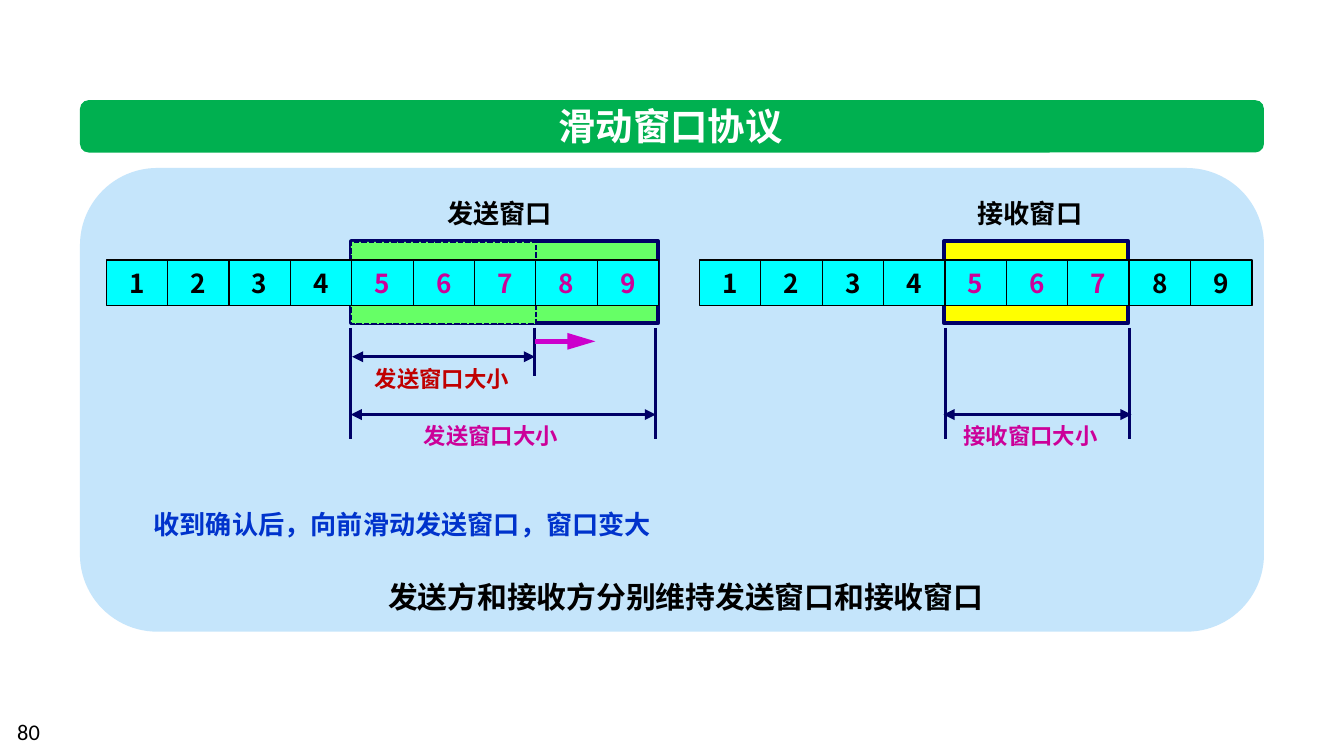
"""Build the sliding window protocol slide."""
from lxml.etree import SubElement
from pptx import Presentation
from pptx.dml.color import RGBColor
from pptx.enum.dml import MSO_LINE
from pptx.enum.shapes import MSO_CONNECTOR, MSO_SHAPE
from pptx.enum.text import MSO_ANCHOR, MSO_AUTO_SIZE, PP_ALIGN
from pptx.oxml.ns import qn
from pptx.util import Pt

PX = 4572
CJK_FONT = "Noto Sans CJK SC"
BLACK, WHITE, NAVY, MAGENTA = "000000", "FFFFFF", "000066", "CC0099"
color = RGBColor.from_string


def write(shape, text, size, hex_color, align=PP_ALIGN.LEFT, anchor=MSO_ANCHOR.TOP,
          font_name=CJK_FONT, bold=True, wrap=False):
    frame = shape.text_frame
    frame.text = text
    frame.word_wrap = wrap
    frame.auto_size = MSO_AUTO_SIZE.NONE
    frame.vertical_anchor = anchor
    paragraph = frame.paragraphs[0]
    paragraph.alignment = align
    font = paragraph.font
    font.size, font.bold, font.name = Pt(size), bold, font_name
    font.color.rgb = color(hex_color)
    for properties in shape.element.iter(qn("a:defRPr")):
        SubElement(properties, qn("a:ea"), typeface=font_name)


def add_line(shapes, x1, y1, x2, y2, hex_color=NAVY, width=1.5, arrows=(), length="med"):
    line = shapes.add_connector(MSO_CONNECTOR.STRAIGHT, x1 * PX, y1 * PX, x2 * PX, y2 * PX)
    line.line.color.rgb = color(hex_color)
    line.line.width = Pt(width)
    properties = line.element.spPr
    for arrow in arrows:
        SubElement(properties.find(qn("a:ln")), qn(f"a:{arrow}"), type="triangle", len=length)
    SubElement(properties, qn("a:effectLst"))


presentation = Presentation()
presentation.slide_width, presentation.slide_height = 2000 * PX, 1125 * PX
slide = presentation.slides.add_slide(presentation.slide_layouts[5])
shapes = slide.shapes

ROUNDED, RECTANGLE = MSO_SHAPE.ROUNDED_RECTANGLE, MSO_SHAPE.RECTANGLE
boxes = {}
for name, kind, left, top, width, height, fill, outline, outline_width in [
    ("title bar", ROUNDED, 119, 149, 1762, 78, "00B050", None, 0),
    ("panel", ROUNDED, 119, 250, 1762, 690, "C5E5FB", None, 0),
    ("larger send window", RECTANGLE, 523, 359, 456, 122, "66FF66", NAVY, 2.25),
    ("receive window", RECTANGLE, 1405, 359, 274, 122, "FFFF00", NAVY, 2.25),
    ("send window", RECTANGLE, 522, 360, 276, 122, "66FF66", NAVY, 1),
    ("receiver row", RECTANGLE, 1041, 387, 822, 68, "00FFFF", BLACK, 0.75),
    ("sender row", RECTANGLE, 158, 387, 822, 68, "00FFFF", BLACK, 0.75),
]:
    box = shapes.add_shape(kind, left * PX, top * PX, width * PX, height * PX)
    box.shadow.inherit = False
    box.fill.solid()
    box.fill.fore_color.rgb = color(fill)
    if outline:
        box.line.color.rgb = color(outline)
        box.line.width = Pt(outline_width)
    else:
        box.line.fill.background()
    boxes[name] = box
boxes["send window"].line.dash_style = MSO_LINE.SQUARE_DOT

title = shapes.title
title.left, title.top, title.width, title.height = 810 * PX, 144 * PX, 376 * PX, 88 * PX
write(title, "滑动窗口协议", 20, WHITE, PP_ALIGN.CENTER)
boxes["title bar"].element.addnext(title.element)

for name, left, last_in_window in [("receiver row", 1041, 7), ("sender row", 158, 9)]:
    row = shapes.add_group_shape([boxes[name]])
    edges = [left + round(822 * index / 9) for index in range(10)]
    for number in range(1, 10):
        start, end = edges[number - 1:number + 1]
        cell = row.shapes.add_textbox(start * PX, 387 * PX, (end - start) * PX, 68 * PX)
        digit_color = MAGENTA if 5 <= number <= last_in_window else BLACK
        write(cell, str(number), 14, digit_color, PP_ALIGN.CENTER, MSO_ANCHOR.MIDDLE)
    for edge in edges[1:-1]:
        add_line(row.shapes, edge, 387, edge, 455, BLACK, 0.75)

for x, bottom in [(522, 653), (976, 653), (796, 560), (1407, 653), (1681, 653)]:
    add_line(shapes, x, 488, x, bottom)
for start, end, y in [(522, 976, 617), (524, 796, 531), (1404, 1684, 617)]:
    add_line(shapes, start, y, end, y, arrows=("headEnd", "tailEnd"))
add_line(shapes, 796, 508, 886, 508, "CC00CC", 3, ("tailEnd",), "lg")

for text, left, top, width, height, size, hex_color in [
    ("发送窗口", 646, 284, 198, 68, 14, BLACK),
    ("接收窗口", 1435, 284, 198, 68, 14, BLACK),
    ("发送窗口大小", 611, 619, 242, 60, 12, MAGENTA),
    ("发送窗口大小", 538, 534, 242, 60, 12, "C00000"),
    ("接收窗口大小", 1414, 619, 242, 60, 12, MAGENTA),
    ("收到确认后，向前滑动发送窗口，窗口变大", 209, 747, 786, 68, 14, "0033CC"),
]:
    label = shapes.add_textbox(left * PX, top * PX, width * PX, height * PX)
    write(label, text, size, hex_color)

summary = shapes.add_textbox(497 * PX, 852 * PX, 1048 * PX, 74 * PX)
write(summary, "发送方和接收方分别维持发送窗口和接收窗口", 16, BLACK, PP_ALIGN.CENTER, wrap=True)
page_number = shapes.add_textbox(6 * PX, 1059 * PX, 466 * PX, 60 * PX)
write(page_number, "80", 12, BLACK, font_name="Calibri", bold=False, wrap=True)

presentation.save("out.pptx")
